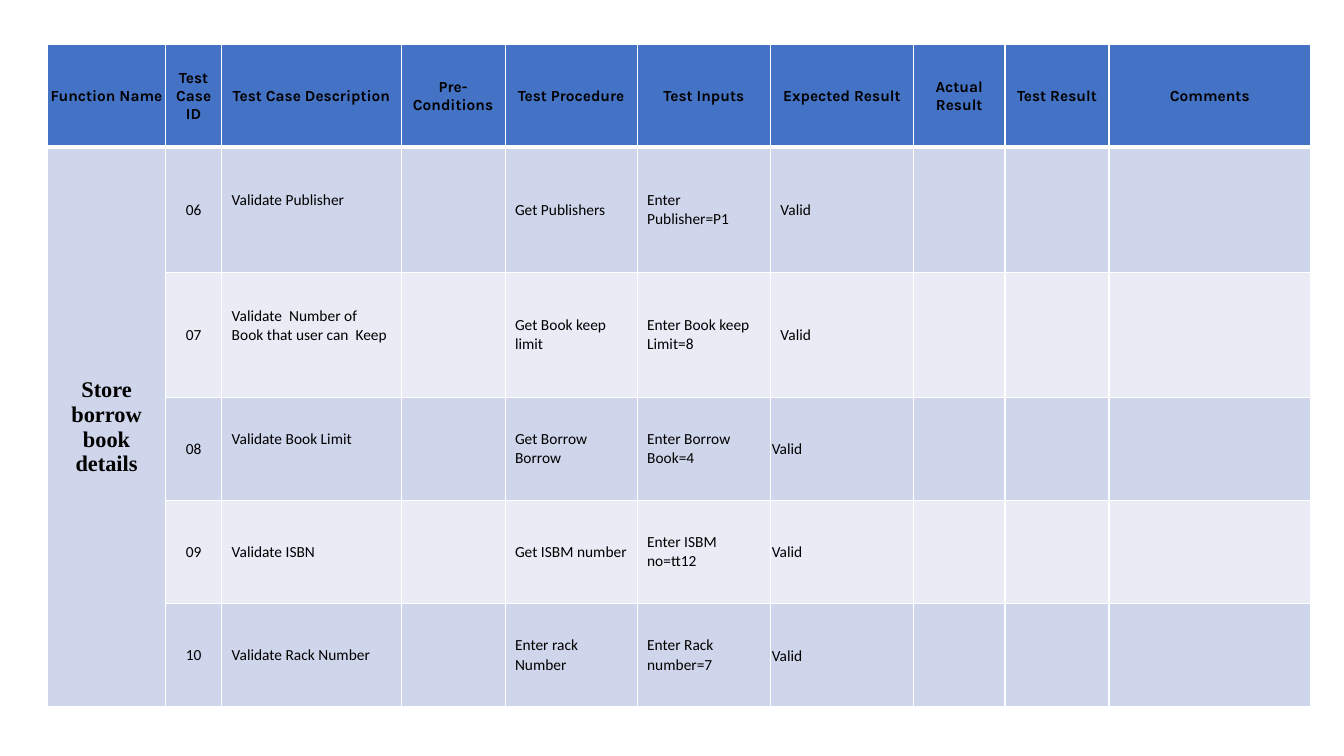
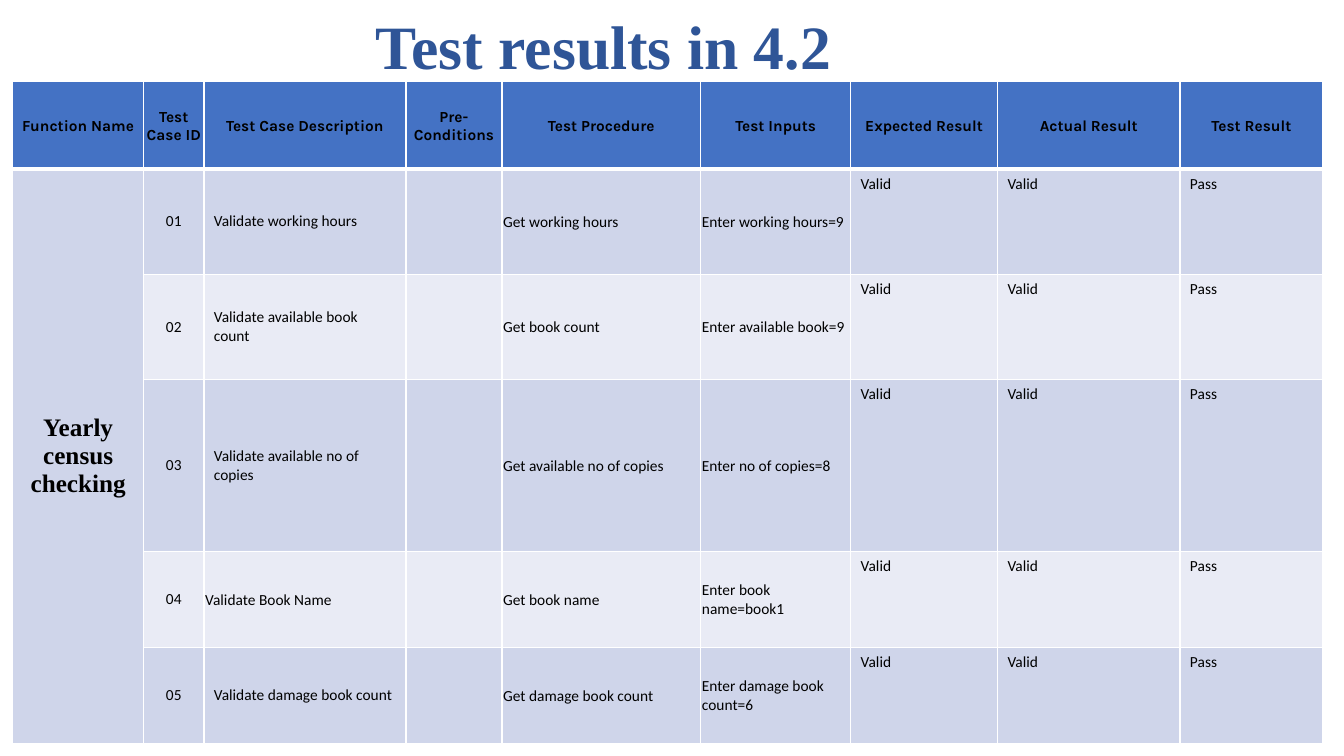
from lxml import etree
from pptx import Presentation
from pptx.dml.color import RGBColor
from pptx.enum import text
from pptx.oxml import ns
from pptx.util import Cm, Pt

HEADER_BLUE, BAND_DARK, BAND_LIGHT = "4472C4", "CFD5EA", "E9EBF5"
WHITE, BLACK, TITLE_BLUE = "FFFFFF", "000000", "2F5597"
HEADER_FONT, BODY_FONT, DISPLAY_FONT = "Karla", "Calibri", "Times New Roman"
BODY_SIZE = 11
TIGHT = (0.03, 0.03, 0.03, 0)
ROOMY = (0.25, 0.13, 0.25, 0.13)
RAISED = (0.25, 0.13, 0.25, 0.6)

HEADINGS = ["Function Name", "Test Case ID", "Test Case Description",
            "Pre-Conditions", "Test Procedure", "Test Inputs",
            "Expected Result", "Actual Result", "Test Result", "Comments"]
ID, DESCRIPTION, PROCEDURE, INPUTS, EXPECTED, ACTUAL, RESULT = 1, 2, 4, 5, 6, 7, 8

# Each case: ID, description, procedure, inputs, expected, actual, result.
# Insets are keyed by (row, column); cells not listed are roomy.
BORROW_TESTS = {
    "title": None,
    "function": ("Store borrow book details", 16),
    "origin": (1.2, 1.11),
    "widths": [2.97, 1.42, 4.52, 2.62, 3.33, 3.36, 3.6, 2.31, 2.62, 5.08],
    "heights": [2.6, 3.15, 3.15, 2.6, 2.6, 2.6],
    "cases": [
        ("06", "Validate Publisher", "Get Publishers",
         "Enter Publisher=P1", "Valid"),
        ("07", "Validate  Number of Book that user can  Keep",
         "Get Book keep limit", "Enter Book keep Limit=8", "Valid"),
        ("08", "Validate Book Limit", "Get Borrow Borrow",
         "Enter Borrow Book=4", "Valid"),
        ("09", "Validate ISBN", "Get ISBM number",
         "Enter ISBM no=tt12", "Valid"),
        ("10", "Validate Rack Number", "Enter rack Number",
         "Enter Rack number=7", "Valid"),
    ],
    "insets": {**{(row, DESCRIPTION): RAISED for row in (1, 2, 3)},
               **{(row, EXPECTED): TIGHT for row in (3, 4, 5)}},
    "top_columns": (),
}
OUTCOME = ("Valid", "Valid", "Pass")
CENSUS_TESTS = {
    "title": "Test results in 4.2",
    "function": ("Yearly census checking", 18),
    "origin": (0.32, 2.06),
    "widths": [3.3, 1.52, 5.09, 2.42, 5.01, 3.78, 3.7, 4.6, 3.6],
    "heights": [2.2, 2.65, 2.65, 4.33, 2.42, 2.42],
    "cases": [
        ("01", "Validate working hours", "Get working hours",
         "Enter working hours=9", *OUTCOME),
        ("02", "Validate available book count", "Get book count",
         "Enter available book=9", *OUTCOME),
        ("03", "Validate available no of copies",
         "Get available no of copies", "Enter no of copies=8", *OUTCOME),
        ("04", "Validate Book Name", "Get book name",
         "Enter book name=book1", *OUTCOME),
        ("05", "Validate damage book count", "Get damage book count",
         "Enter damage book count=6", *OUTCOME),
    ],
    "insets": {**{(row, column): TIGHT for row in range(1, 6)
                  for column in (PROCEDURE, INPUTS)},
               (4, DESCRIPTION): TIGHT},
    "top_columns": (EXPECTED, ACTUAL, RESULT),
}


def rgb(colour):
    return RGBColor.from_string(colour)


def style_text(frame, font, size, colour=BLACK, bold=False, centred=False):
    paragraph = frame.paragraphs[0]
    align = text.PP_ALIGN
    paragraph.alignment = align.CENTER if centred else align.LEFT
    for run in paragraph.runs:
        run.font.name, run.font.size, run.font.bold = font, Pt(size), bold
        run.font.color.rgb = rgb(colour)


def add_borders(cell, **widths):
    """Draw white cell borders; widths are points by side (L, R, T, B)."""
    properties = cell._tc.get_or_add_tcPr()
    for side, width in widths.items():
        line = etree.SubElement(properties, ns.qn(f"a:ln{side}"), w=str(Pt(width)))
        fill = etree.SubElement(line, ns.qn("a:solidFill"))
        etree.SubElement(fill, ns.qn("a:srgbClr"), val=WHITE)


def fill_cell(cell, content, fill, insets, top=False, header=False, **style):
    add_borders(cell, L=1, R=1, T=1, B=3 if header else 1)
    cell.fill.solid()
    cell.fill.fore_color.rgb = rgb(fill)
    cell.margin_left, cell.margin_top, cell.margin_right, cell.margin_bottom = map(Cm, insets)
    anchor = text.MSO_ANCHOR
    cell.vertical_anchor = anchor.TOP if top else anchor.MIDDLE
    cell.text_frame.text = content
    style_text(cell.text_frame, **style)


def add_test_table(slide, tests):
    widths, heights = tests["widths"], tests["heights"]
    left, top = tests["origin"]
    table = slide.shapes.add_table(
        len(heights), len(widths), Cm(left), Cm(top),
        Cm(sum(widths)), Cm(sum(heights))).table
    for column, width in zip(table.columns, widths):
        column.width = Cm(width)
    for row, height in zip(table.rows, heights):
        row.height = Cm(height)

    for column, heading in enumerate(HEADINGS[:len(widths)]):
        fill_cell(table.cell(0, column), heading, HEADER_BLUE, TIGHT, header=True,
                  font=HEADER_FONT, size=BODY_SIZE, bold=True, centred=True)

    function, function_size = tests["function"]
    table.cell(1, 0).merge(table.cell(len(heights) - 1, 0))
    fill_cell(table.cell(1, 0), function, BAND_DARK, ROOMY,
              font=DISPLAY_FONT, size=function_size, bold=True, centred=True)

    case_columns = (ID, DESCRIPTION, PROCEDURE, INPUTS, EXPECTED, ACTUAL, RESULT)
    for row, case in enumerate(tests["cases"], start=1):
        entries = dict(zip(case_columns, case))
        for column in range(1, len(widths)):
            fill_cell(table.cell(row, column), entries.get(column, ""),
                      BAND_DARK if row % 2 else BAND_LIGHT,
                      tests["insets"].get((row, column), ROOMY),
                      top=column in tests["top_columns"],
                      font=BODY_FONT, size=BODY_SIZE, centred=column == ID)


def set_title(slide, wording):
    title = slide.shapes.title
    title.left, title.top, title.width, title.height = map(Cm, (9.22, 0, 17, 2.49))
    title.text_frame.text = wording
    title.text_frame.vertical_anchor = text.MSO_ANCHOR.MIDDLE
    title.text_frame.paragraphs[0].line_spacing = 0.9
    style_text(title.text_frame, DISPLAY_FONT, 44, TITLE_BLUE, bold=True)


def main():
    deck = Presentation()
    deck.slide_width, deck.slide_height = Cm(33.87), Cm(19.05)
    title_only, blank = deck.slide_layouts[5], deck.slide_layouts[6]
    for tests in (BORROW_TESTS, CENSUS_TESTS):
        slide = deck.slides.add_slide(title_only if tests["title"] else blank)
        if tests["title"]:
            set_title(slide, tests["title"])
        add_test_table(slide, tests)
    deck.save("out.pptx")


if __name__ == "__main__":
    main()
